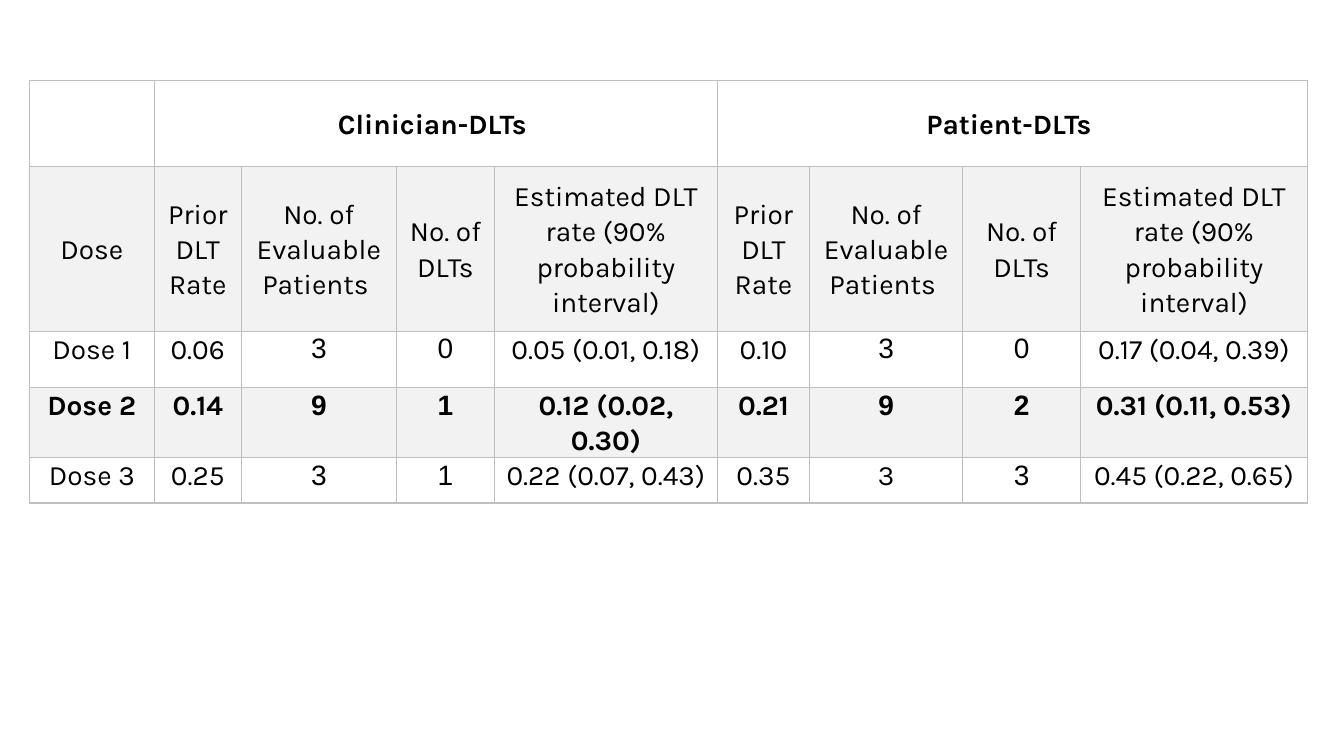
from dataclasses import dataclass

import lxml.etree
import pptx
import pptx.dml.color
import pptx.enum.text
import pptx.oxml.ns
import pptx.table
import pptx.util

Cm = pptx.util.Cm
COLORS = {"text": "000000", "band": "F2F2F2", "border": "BFBFBF"}
TEXT_FONT = "Karla"
COUNT_FONT = "Arial"
COLUMN_WIDTHS = (3.15, 2.19, 3.91, 2.47, 5.62, 2.32, 3.86, 2.97, 5.72)
COUNT_COLUMNS = (2, 3, 6, 7)
GROUP_SPAN = 4
MEASURES = (
    "Prior DLT Rate",
    "No. of Evaluable Patients ",
    "No. of DLTs",
    "Estimated DLT rate (90% probability interval)",
)


@dataclass(frozen=True)
class TableRow:
    height: float
    texts: tuple[str, ...]
    bold: bool = False
    banded: bool = False
    middle: bool = False
    count_columns: tuple[int, ...] = ()


ROWS = (
    TableRow(2.17, ("", "Clinician-DLTs ", "", "", "", "Patient-DLTs ", "", "", ""),
             bold=True, middle=True),
    TableRow(4.15, ("Dose", *MEASURES, *MEASURES), banded=True, middle=True),
    TableRow(1.42, ("Dose 1", "0.06", "3", "0", "0.05 (0.01, 0.18)",
                    "0.10", "3", "0", "0.17 (0.04, 0.39)"),
             count_columns=COUNT_COLUMNS),
    TableRow(1.42, ("Dose 2", "0.14", "9", "1", "0.12 (0.02, 0.30)",
                    "0.21", "9", "2", "0.31 (0.11, 0.53)"),
             bold=True, banded=True, count_columns=COUNT_COLUMNS),
    TableRow(1.14, ("Dose 3", "0.25", "3", "1", "0.22 (0.07, 0.43)",
                    "0.35", "3", "3", "0.45 (0.22, 0.65)"),
             count_columns=(2, 3, 7)),
)


def write_text(frame: pptx.text.text.TextFrame, text: str, *, font: str = TEXT_FONT,
               size: float = 20, bold: bool = False, color: str = "text") -> None:
    para = frame.paragraphs[0]
    para.alignment = pptx.enum.text.PP_ALIGN.CENTER
    para.line_spacing = 1.07
    para.space_after = pptx.util.Pt(8)
    span = para.add_run()
    span.text = text
    span.font.name = font
    span.font.size = pptx.util.Pt(size)
    span.font.bold = bold
    span.font.color.rgb = pptx.dml.color.RGBColor.from_string(COLORS[color])


def add_borders(cell: pptx.table._Cell) -> None:
    qn = pptx.oxml.ns.qn
    properties = cell._tc.get_or_add_tcPr()
    for side in ("lnL", "lnR", "lnT", "lnB"):
        line = lxml.etree.SubElement(properties, qn(f"a:{side}"), w=str(pptx.util.Pt(1)))
        fill = lxml.etree.SubElement(line, qn("a:solidFill"))
        lxml.etree.SubElement(fill, qn("a:srgbClr"), val=COLORS["border"])


def format_cell(cell: pptx.table._Cell, row: TableRow) -> None:
    anchors = pptx.enum.text.MSO_ANCHOR
    cell.margin_left = cell.margin_right = Cm(0.18)
    cell.margin_top = cell.margin_bottom = Cm(0)
    cell.vertical_anchor = anchors.MIDDLE if row.middle else anchors.TOP
    add_borders(cell)
    if row.banded:
        cell.fill.solid()
        cell.fill.fore_color.rgb = pptx.dml.color.RGBColor.from_string(COLORS["band"])
    else:
        cell.fill.background()


def add_dose_table(page: pptx.slide.Slide) -> None:
    table = page.shapes.add_table(
        len(ROWS), len(COLUMN_WIDTHS), Cm(0.74), Cm(2.03),
        Cm(sum(COLUMN_WIDTHS)), Cm(sum(row.height for row in ROWS)),
    ).table
    table.first_row = table.horz_banding = False
    for column, width in zip(table.columns, COLUMN_WIDTHS):
        column.width = Cm(width)
    for row_index, row in enumerate(ROWS):
        table.rows[row_index].height = Cm(row.height)
        for column_index, text in enumerate(row.texts):
            cell = table.cell(row_index, column_index)
            format_cell(cell, row)
            if text:
                font = COUNT_FONT if column_index in row.count_columns else TEXT_FONT
                write_text(cell.text_frame, text, font=font, bold=row.bold)
    for first in (1, 1 + GROUP_SPAN):
        table.cell(0, first).merge(table.cell(0, first + GROUP_SPAN - 1))


def main() -> None:
    deck = pptx.Presentation()
    deck.slide_width = Cm(33.87)
    deck.slide_height = Cm(19.05)
    page = deck.slides.add_slide(deck.slide_layouts[6])
    add_dose_table(page)
    deck.save("out.pptx")


if __name__ == "__main__":
    main()
